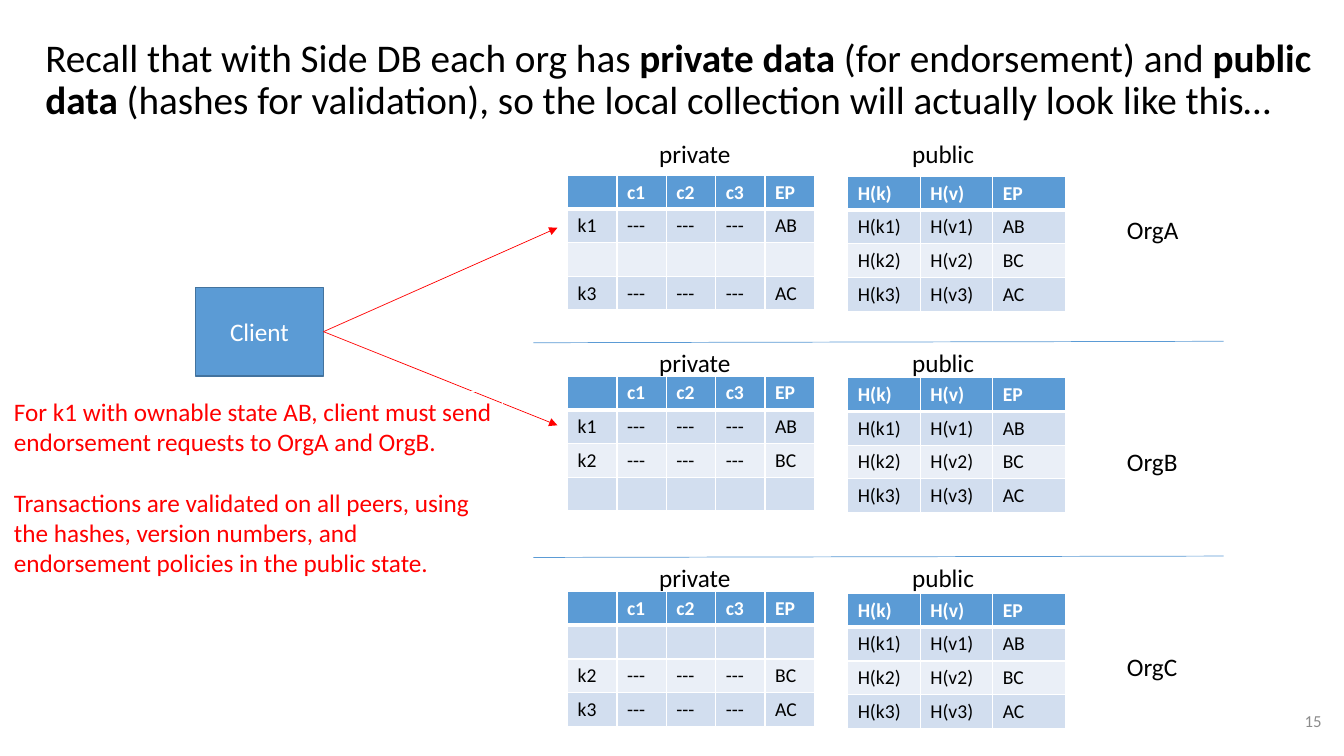
from lxml import etree
from pptx import Presentation
from pptx.dml.color import RGBColor
from pptx.enum import shapes, text
from pptx.oxml.ns import qn
from pptx.util import Pt

BLACK = RGBColor(0x00, 0x00, 0x00)
WHITE = RGBColor(0xFF, 0xFF, 0xFF)
RED = RGBColor(0xFF, 0x00, 0x00)
GRAY = RGBColor(0x8C, 0x8C, 0x8C)
BLUE = RGBColor(0x5B, 0x9B, 0xD5)
DARK_BLUE = RGBColor(0x43, 0x73, 0x9E)
BANDS = (RGBColor(0xD2, 0xDE, 0xEF), RGBColor(0xEA, 0xEF, 0xF7))

TITLE = [
    ("Recall that with Side DB each org has ", False),
    ("private data ", True),
    ("(for endorsement) and ", False),
    ("public data ", True),
    ("(hashes for validation), so the local collection will actually look like this…", False),
]
NOTES = [
    "For k1 with ownable state AB, client must send endorsement requests to OrgA and OrgB.",
    "Transactions are validated on all peers, using the hashes, version numbers, "
    "and endorsement policies in the public state.",
]
POLICIES = {"1": "AB", "2": "BC", "3": "AC"}
PRIVATE_HEAD = ["", "c1", "c2", "c3", "EP"]
PUBLIC_HEAD = ["H(k)", "H(v)", "EP"]
ORGS = [
    dict(name="OrgA", keys="13", label_y=95, table_y=125.3, public_drop=0.8, name_y=149.8),
    dict(name="OrgB", keys="12", label_y=244.8, table_y=268.7, public_drop=1.2, name_y=315.4),
    dict(name="OrgC", keys="23", label_y=398.2, table_y=422.6, public_drop=1.4, name_y=461.5),
]
PRIVATE_X, PRIVATE_COL = 405.4, 35.28
PUBLIC_X, PUBLIC_COL = 605.5, 51.8
ROW_HEIGHT = 24
DIVIDER_X = (381, 874)
CLIENT = (139.7, 205.2, 91.4, 63.4)
ARROW_ENDS = [(398.2, 162.7), (398.2, 303.8)]


def style(paragraph, size, color, bold=False):
    """Format every run of a paragraph."""
    for run in paragraph.runs:
        run.font.name = "Calibri"
        run.font.size = Pt(size)
        run.font.bold = bold
        run.font.color.rgb = color


def add_label(words, x, y, width, size=18, color=BLACK, wrap=True):
    """Add a one-line text box and return its text frame."""
    frame = slide.shapes.add_textbox(Pt(x), Pt(y), Pt(width), Pt(29)).text_frame
    frame.word_wrap = wrap
    frame.text = words
    style(frame.paragraphs[0], size, color)
    return frame


def add_line(start, end, color, arrow=False):
    """Add a thin straight line, with an arrowhead at its end if asked."""
    points = [Pt(value) for value in (*start, *end)]
    line = slide.shapes.add_connector(shapes.MSO_CONNECTOR.STRAIGHT, *points)
    line.line.color.rgb = color
    line.line.width = Pt(0.5)
    if arrow:
        etree.SubElement(line.line._get_or_add_ln(), qn("a:tailEnd"), type="triangle")
    etree.SubElement(line._element.spPr, qn("a:effectLst"))


def add_box(x, y, width, height, border, border_width):
    """Add a plain rectangle with an outline."""
    box = slide.shapes.add_shape(
        shapes.MSO_SHAPE.RECTANGLE, Pt(x), Pt(y), Pt(width), Pt(height))
    box.shadow.inherit = False
    box.line.color.rgb = border
    box.line.width = Pt(border_width)
    return box


def add_borders(cell, bottom):
    """Give a cell white borders with its own bottom width."""
    for side, width in (("L", 1), ("R", 1), ("T", 1), ("B", bottom)):
        edge = etree.SubElement(
            cell._tc.get_or_add_tcPr(), qn("a:ln" + side), w=str(Pt(width)))
        fill = etree.SubElement(edge, qn("a:solidFill"))
        etree.SubElement(fill, qn("a:srgbClr"), val=str(WHITE))


def add_state(rows, x, y, col_width):
    """Add a state table with a blue header and banded rows."""
    columns = len(rows[0])
    table = slide.shapes.add_table(
        len(rows), columns, Pt(x), Pt(y),
        Pt(col_width * columns), Pt(ROW_HEIGHT * len(rows))).table
    for column in table.columns:
        column.width = Pt(col_width)
    for r, row in enumerate(rows):
        header = r == 0
        for c, words in enumerate(row):
            cell = table.cell(r, c)
            add_borders(cell, 3 if header else 1)
            cell.fill.solid()
            cell.fill.fore_color.rgb = BLUE if header else BANDS[(r - 1) % 2]
            cell.text = words
            paragraph = cell.text_frame.paragraphs[0]
            style(paragraph, 14, WHITE if header else BLACK, header)
            if not words:
                etree.SubElement(paragraph._p, qn("a:endParaRPr"), sz="1400")


deck = Presentation()
deck.slide_width, deck.slide_height = Pt(960), Pt(540)
slide = deck.slides.add_slide(deck.slide_layouts[5])

title = slide.shapes.title
title.left, title.top, title.width, title.height = Pt(25.2), Pt(28.8), Pt(934.6), Pt(57.6)
title.text_frame.word_wrap = True
title.text_frame.auto_size = text.MSO_AUTO_SIZE.NONE
title.text_frame.vertical_anchor = text.MSO_ANCHOR.MIDDLE
heading = title.text_frame.paragraphs[0]
heading.alignment = text.PP_ALIGN.LEFT
heading.line_spacing = 0.9
style(heading, 28, BLACK)
for words, bold in TITLE:
    run = heading.add_run()
    run.text = words
    run.font.name, run.font.size, run.font.bold = "Calibri", Pt(28), bold
    run.font.color.rgb = BLACK

for org in ORGS:
    private = [PRIVATE_HEAD] + [
        ["k" + key, "---", "---", "---", policy] if key in org["keys"] else [""] * 5
        for key, policy in POLICIES.items()]
    public = [PUBLIC_HEAD] + [
        [f"H(k{key})", f"H(v{key})", policy] for key, policy in POLICIES.items()]
    add_label("private", 463.7, org["label_y"], 77.8)
    add_label("public", 644.4, org["label_y"], 77.8)
    add_state(private, PRIVATE_X, org["table_y"], PRIVATE_COL)
    add_state(public, PUBLIC_X, org["table_y"] + org["public_drop"], PUBLIC_COL)
    add_label(org["name"], 797.8, org["name_y"], 51.8, wrap=False)

for org in ORGS[1:]:
    add_line((DIVIDER_X[0], org["label_y"]), (DIVIDER_X[1], org["label_y"] - 1), BLUE)

client = add_box(*CLIENT, DARK_BLUE, 1)
client.fill.solid()
client.fill.fore_color.rgb = BLUE
client.text_frame.text = "Client"
client.text_frame.vertical_anchor = text.MSO_ANCHOR.MIDDLE
client.text_frame.paragraphs[0].alignment = text.PP_ALIGN.CENTER
style(client.text_frame.paragraphs[0], 18, WHITE)

client_exit = (CLIENT[0] + CLIENT[2], CLIENT[1] + CLIENT[3] / 2)
for end in ARROW_ENDS:
    add_line(client_exit, end, RED, arrow=True)

notes = add_box(2.9, 279.4, 356.4, 138.2, WHITE, 0.75)
notes.fill.background()
notes.text_frame.word_wrap = True
notes.text_frame.vertical_anchor = text.MSO_ANCHOR.TOP
notes.text_frame.text = "\n".join(NOTES)
for paragraph in notes.text_frame.paragraphs:
    paragraph.alignment = text.PP_ALIGN.LEFT
    style(paragraph, 18, RED)
notes.text_frame.paragraphs[1].space_before = Pt(21.8)

number = add_label("15", 735.1, 500.4, 216, size=12, color=GRAY)
number.vertical_anchor = text.MSO_ANCHOR.MIDDLE
number.paragraphs[0].alignment = text.PP_ALIGN.RIGHT

deck.save("out.pptx")
